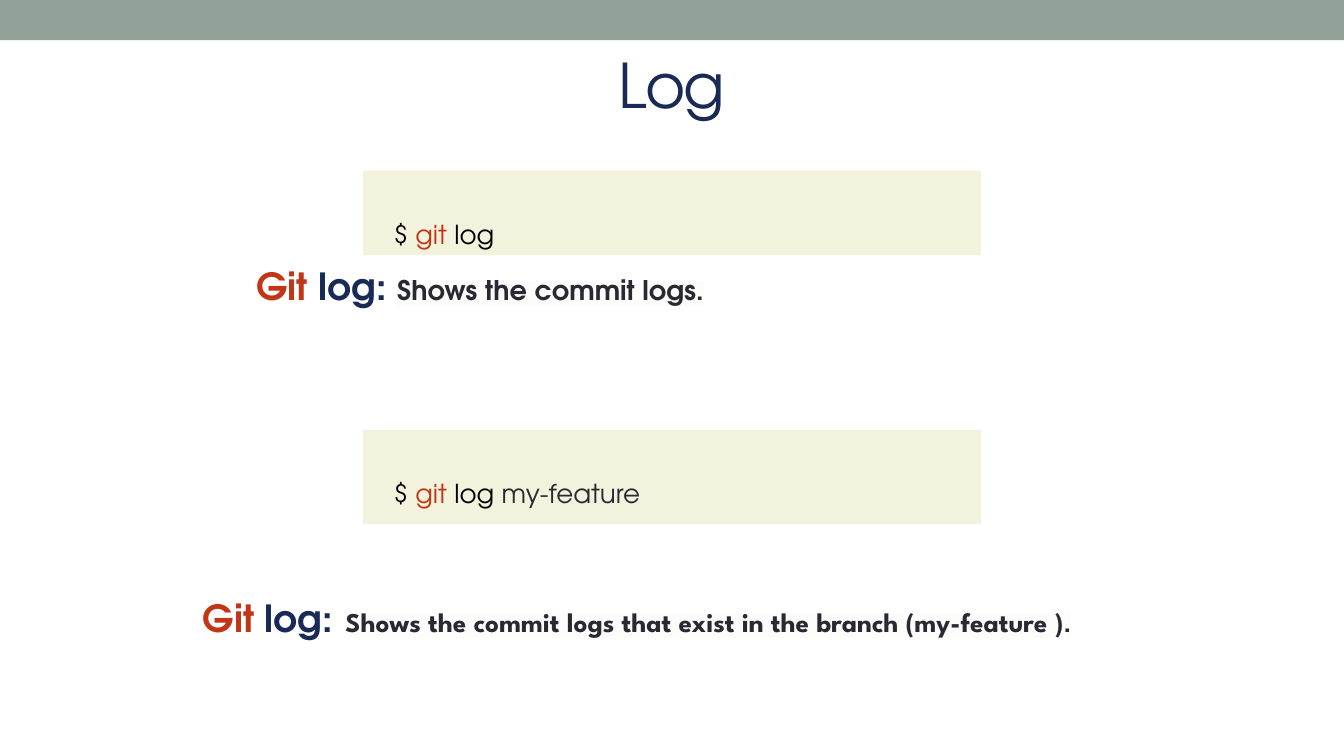
from lxml.etree import SubElement
from pptx import Presentation
from pptx.dml.color import RGBColor
from pptx.enum.shapes import MSO_SHAPE
from pptx.enum.text import PP_ALIGN
from pptx.oxml.ns import qn
from pptx.util import Inches, Pt

COLORS = {
    "band": "93A299",
    "code_box": "F3F2DC",
    "black": "000000",
    "red": "C23616",
    "navy": "192A56",
    "dark": "292934",
    "highlight": "FCFCFA",
}
MAIN_FONT = "TeX Gyre Adventor"
BRANCH_FONT = "League Spartan"
CODE_SIZE, LABEL_SIZE, NOTE_SIZE = 14, 20, 14.5


def add_rectangle(slide, left, top, width, height, color):
    shape = slide.shapes.add_shape(
        MSO_SHAPE.RECTANGLE, Inches(left), Inches(top), Inches(width), Inches(height))
    shape.shadow.inherit = False
    shape.fill.solid()
    shape.fill.fore_color.rgb = RGBColor.from_string(COLORS[color])
    shape.line.fill.background()


def add_run(paragraph, text, size, color, font=MAIN_FONT, bold=False, highlight=False):
    run = paragraph.add_run()
    run.text = text
    run.font.size = Pt(size)
    run.font.bold = bold
    run.font.color.rgb = RGBColor.from_string(COLORS[color])
    if highlight:
        # The highlight belongs between the fill and the typeface
        element = SubElement(run.font._element, qn("a:highlight"))
        SubElement(element, qn("a:srgbClr"), val=COLORS["highlight"])
    run.font.name = font
    return run


def add_text(slide, left, top, width, height):
    """Add a wrapped text box and return its first paragraph."""
    text_frame = slide.shapes.add_textbox(
        Inches(left), Inches(top), Inches(width), Inches(height)).text_frame
    text_frame.word_wrap = True
    text_frame.margin_left = text_frame.margin_right = Inches(0.1)
    text_frame.margin_top = text_frame.margin_bottom = Inches(0.1)
    return text_frame.paragraphs[0]


def add_title(slide, text):
    paragraph = add_text(slide, 0.34, 0.25, 9.32, 0.63)
    paragraph.alignment = PP_ALIGN.CENTER
    run = add_run(paragraph, text, 33, "navy")
    run.font._element.set("spc", "-100")


def add_command(slide, top, height, parts):
    add_rectangle(slide, 2.7, top, 4.6, height, "code_box")
    paragraph = add_text(slide, 2.83, top + 0.02, 4.33, 0.5)
    paragraph.line_spacing = 2.0
    for text, color in [("$ ", "black"), ("git ", "red"), *parts]:
        add_run(paragraph, text, CODE_SIZE, color)


def add_explanation(slide, left, top, height, gap_size, notes):
    paragraph = add_text(slide, left, top, 7.72, height)
    add_run(paragraph, "Git ", LABEL_SIZE, "red", bold=True)
    add_run(paragraph, "log:", LABEL_SIZE, "navy", bold=True)
    add_run(paragraph, " ", gap_size, "dark", bold=True)
    for text, font in notes:
        add_run(paragraph, text, NOTE_SIZE, "dark", font, bold=True, highlight=True)


def main():
    # Widescreen page, 16:9
    presentation = Presentation()
    presentation.slide_width = Inches(10)
    presentation.slide_height = Inches(10 * 9 / 16)
    slide = presentation.slides.add_slide(presentation.slide_layouts[6])

    # Top band and title
    add_rectangle(slide, 0, 0, 10, 0.3, "band")
    add_title(slide, "Log")

    # Log of the current branch
    add_command(slide, 1.27, 0.63, [("log", "black")])
    add_explanation(slide, 1.81, 1.86, 0.53, LABEL_SIZE,
                    [("Shows the commit logs.", MAIN_FONT)])

    # Log of a named branch
    add_command(slide, 3.2, 0.7, [("log ", "black"), ("my-feature", "dark")])
    add_explanation(slide, 1.41, 4.27, 0.84, 24, [
        ("Shows the commit logs that exist in the branch (my-feature )", BRANCH_FONT),
        (".", MAIN_FONT),
    ])

    presentation.save("out.pptx")


if __name__ == "__main__":
    main()
